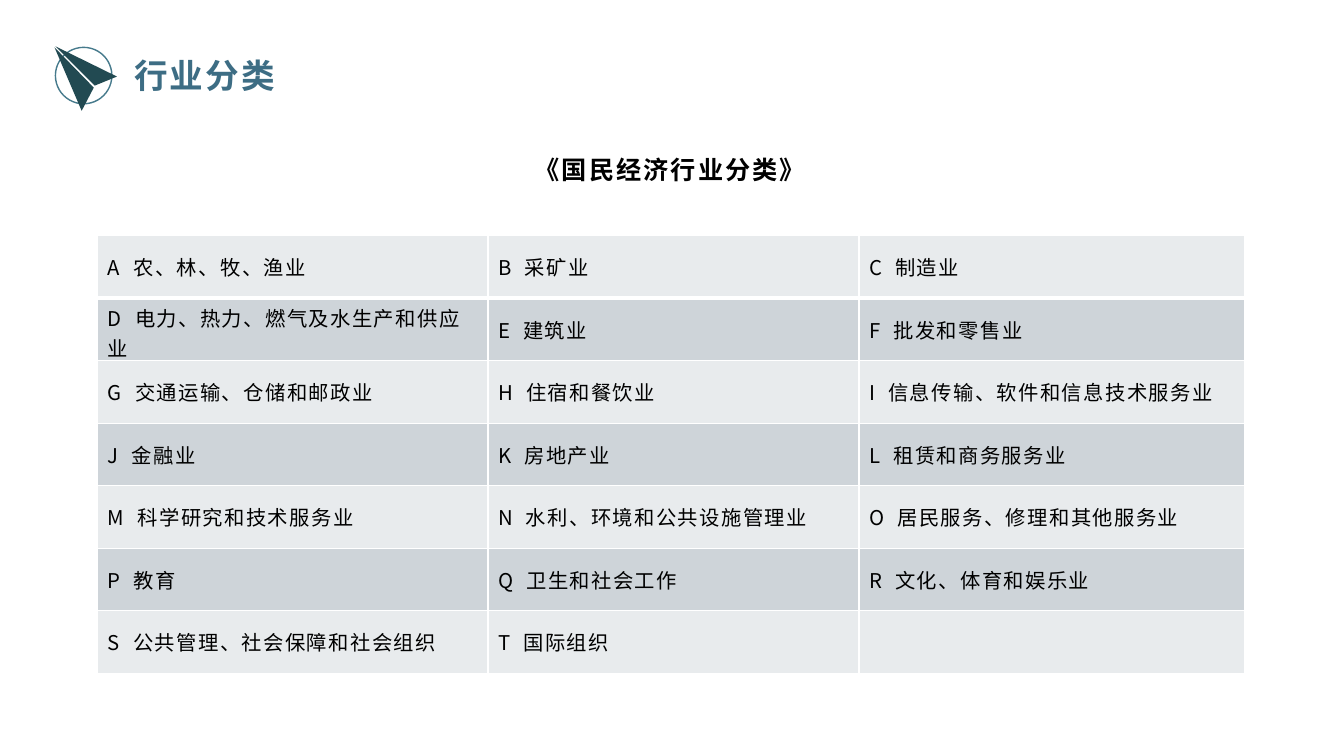
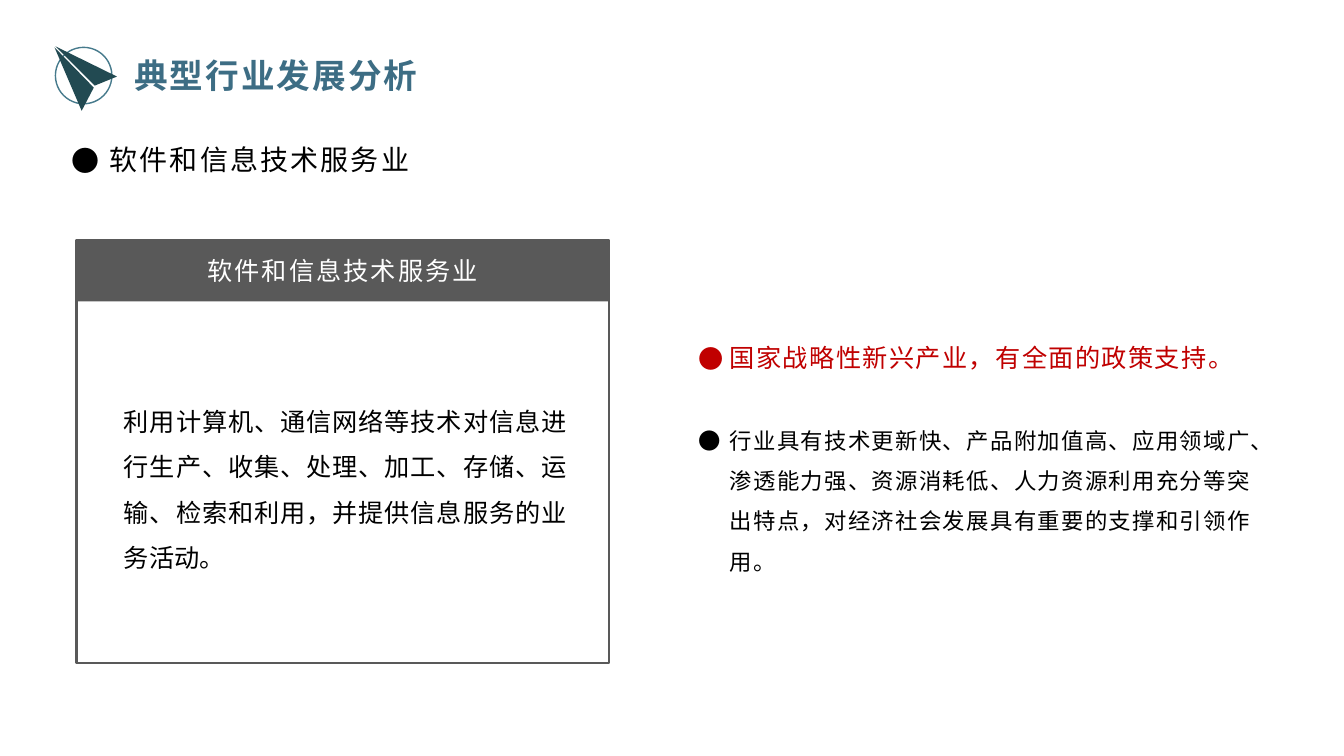
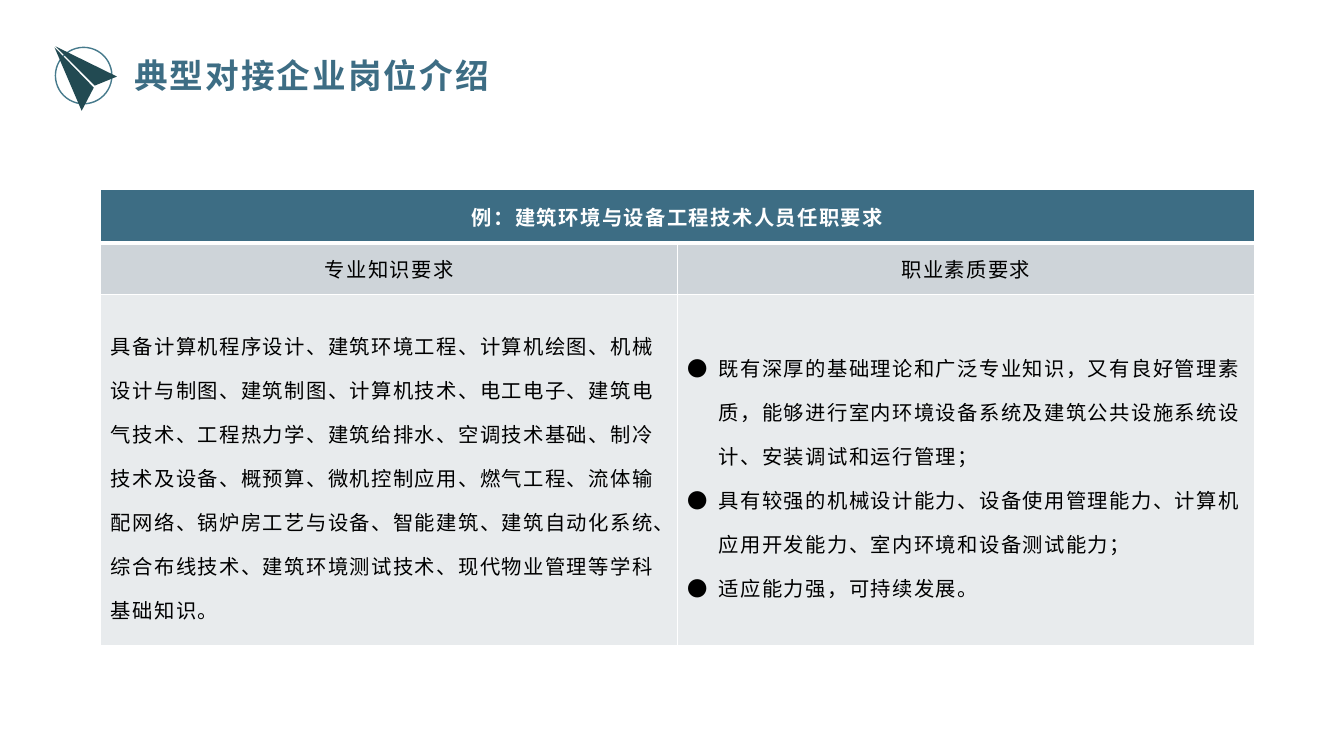
from lxml.etree import SubElement
from pptx import Presentation
from pptx.dml.color import RGBColor
from pptx.enum.shapes import MSO_SHAPE
from pptx.enum.text import MSO_ANCHOR, MSO_AUTO_SIZE, PP_ALIGN
from pptx.oxml.ns import qn
from pptx.util import Pt

PX = 9144  # EMU in one px, 100 px to the inch
FONT = "Noto Sans CJK SC"
BLUE, TEAL, DARK_TEAL = "3D6D84", "467A8C", "224A52"
BLACK, WHITE, GREY, RED = "000000", "FFFFFF", "595959", "C00000"
LIGHT, MID = "E8EBED", "CED4D9"

INDUSTRIES = [
    ["A 农、林、牧、渔业", "B 采矿业", "C 制造业"],
    ["D 电力、热力、燃气及水生产和供应业", "E 建筑业", "F 批发和零售业"],
    ["G 交通运输、仓储和邮政业", "H 住宿和餐饮业", "I 信息传输、软件和信息技术服务业"],
    ["J 金融业", "K 房地产业", "L 租赁和商务服务业"],
    ["M 科学研究和技术服务业", "N 水利、环境和公共设施管理业", "O 居民服务、修理和其他服务业"],
    ["P 教育", "Q 卫生和社会工作", "R 文化、体育和娱乐业"],
    ["S 公共管理、社会保障和社会组织", "T 国际组织", ""],
]
KNOWLEDGE = (
    "具备计算机程序设计、建筑环境工程、计算机绘图、机械设计与制图、建筑制图、计算机技术、"
    "电工电子、建筑电气技术、工程热力学、建筑给排水、空调技术基础、制冷技术及设备、概预算、"
    "微机控制应用、燃气工程、流体输配网络、锅炉房工艺与设备、智能建筑、建筑自动化系统、"
    "综合布线技术、建筑环境测试技术、现代物业管理等学科基础知识。")
QUALITIES = [
    "既有深厚的基础理论和广泛专业知识，又有良好管理素质，能够进行室内环境设备系统及建筑公共设施系统设计、安装调试和运行管理；",
    "具有较强的机械设计能力、设备使用管理能力、计算机应用开发能力、室内环境和设备测试能力；",
    "适应能力强，可持续发展。",
]


def px(n):
    return n * PX


def rgb(code):
    return RGBColor.from_string(code)


class Deck:
    def __init__(self):
        self.prs = Presentation()
        self.prs.slide_width, self.prs.slide_height = px(1333), px(750)
        self.s = None

    def slide(self, title):
        self.s = self.prs.slides.add_slide(self.prs.slide_layouts[5])
        sp = self.s.shapes.title
        sp.left, sp.top, sp.width, sp.height = map(px, (123, 49, 667, 50))
        tf = sp.text_frame
        tf.vertical_anchor = MSO_ANCHOR.MIDDLE
        tf.auto_size = MSO_AUTO_SIZE.NONE
        p = self.para(tf, PP_ALIGN.LEFT)
        self.run(p, title, 24, BLUE, spacing=1.5, bold=True)
        self.compass()

    def compass(self):
        self.shape(MSO_SHAPE.OVAL, 55, 47, 56, 56, line=TEAL, width=1)
        builder = self.s.shapes.build_freeform(116, 76, scale=PX)
        builder.add_line_segments([(94, 85), (55, 46)], close=True)
        builder.move_to(93, 87)
        builder.add_line_segments([(81, 110), (54, 47)], close=True)
        self.paint(builder.convert_to_shape(), fill=DARK_TEAL)

    def paint(self, sp, fill=None, line=None, width=1):
        sp.shadow.inherit = False
        if fill:
            sp.fill.solid()
            sp.fill.fore_color.rgb = rgb(fill)
        else:
            sp.fill.background()
        if line:
            sp.line.color.rgb = rgb(line)
            sp.line.width = Pt(width)
        else:
            sp.line.fill.background()
        return sp

    def shape(self, kind, x, y, w, h, **style):
        sp = self.s.shapes.add_shape(kind, px(x), px(y), px(w), px(h))
        return self.paint(sp, **style)

    def text_box(self, x, y, w, h):
        tf = self.s.shapes.add_textbox(px(x), px(y), px(w), px(h)).text_frame
        tf.word_wrap = True
        tf.auto_size = MSO_AUTO_SIZE.SHAPE_TO_FIT_TEXT
        return tf

    def para(self, tf, align=None, spacing=None, indent=0, before=None):
        """Return the next paragraph; a positive indent hangs a round bullet."""
        p = tf.paragraphs[0]
        if p.runs:
            p = tf.add_paragraph()
        p.alignment = align
        p.line_spacing = spacing
        if before:
            p.space_before = Pt(before)
        if indent:
            pPr = p._p.get_or_add_pPr()
            pPr.set("marL", str(px(indent)))
            pPr.set("indent", str(-px(indent)))
            SubElement(pPr, qn("a:buFont")).set("typeface", FONT)
            SubElement(pPr, qn("a:buChar")).set("char", "●")
        return p

    def run(self, p, text, size, color=BLACK, spacing=0, bold=False):
        r = p.add_run()
        r.text = text
        r.font.size, r.font.bold, r.font.name = Pt(size), bold, FONT
        r.font.color.rgb = rgb(color)
        rPr = r._r.get_or_add_rPr()
        rPr.set("spc", str(round(spacing * 100)))
        SubElement(rPr, qn("a:ea")).set("typeface", FONT)

    def table(self, x, y, cols, rows):
        frame = self.s.shapes.add_table(
            len(rows), len(cols), px(x), px(y), px(sum(cols)), px(sum(rows)))
        tbl = frame.table
        tbl.first_row = tbl.horz_banding = False
        for column, w in zip(tbl.columns, cols):
            column.width = px(w)
        for row, h in zip(tbl.rows, rows):
            row.height = px(h)
        return tbl

    def cell(self, tbl, row, col, fill):
        """Fill and border a cell, with a thick rule under the first row."""
        cell = tbl.cell(row, col)
        cell.vertical_anchor = MSO_ANCHOR.MIDDLE
        tcPr = cell._tc.get_or_add_tcPr()
        widths = {"L": 1, "R": 1, "T": 3 if row == 1 else 1, "B": 3 if row == 0 else 1}
        for side, width in widths.items():
            ln = SubElement(tcPr, qn(f"a:ln{side}"), w=str(Pt(width)))
            SubElement(SubElement(ln, qn("a:solidFill")), qn("a:srgbClr"), val=WHITE)
        cell.fill.solid()
        cell.fill.fore_color.rgb = rgb(fill)
        return cell.text_frame

    def cell_run(self, p, text, color=BLACK, spacing=1, bold=False):
        self.run(p, text, 14.5, color, spacing, bold)


def industry_slide(deck):
    deck.slide("行业分类")
    p = deck.para(deck.text_box(73, 118, 1183, 71), PP_ALIGN.CENTER, 2)
    deck.run(p, "《国民经济行业分类》", 18, spacing=1.5, bold=True)
    tbl = deck.table(97, 234, [387, 368, 382], [62] * 7)
    for i, names in enumerate(INDUSTRIES):
        for j, name in enumerate(names):
            tf = deck.cell(tbl, i, j, MID if i % 2 else LIGHT)
            if name:
                letter, industry = name.split(" ")
                p = deck.para(tf)
                deck.cell_run(p, letter)
                deck.cell_run(p, " ", spacing=5.2)
                deck.cell_run(p, industry)


def software_slide(deck):
    deck.slide("典型行业发展分析")
    p = deck.para(deck.text_box(61, 136, 363, 44), indent=38)
    deck.run(p, "软件和信息技术服务业", 20, spacing=1.5)

    p = deck.para(deck.text_box(113, 383, 459, 192), PP_ALIGN.JUSTIFY, 1.5)
    deck.run(p, "利用计算机、通信网络等技术对信息进行生产、收集、处理、加工、存储、运输、"
                "检索和利用，并提供信息服务的业务活动。", 18)
    header = deck.shape(MSO_SHAPE.RECTANGLE, 76, 238, 528, 61, fill=GREY)
    header.text_frame.vertical_anchor = MSO_ANCHOR.MIDDLE
    p = deck.para(header.text_frame, PP_ALIGN.CENTER)
    deck.run(p, "软件和信息技术服务业", 18, WHITE, 1.5)
    deck.shape(MSO_SHAPE.RECTANGLE, 76, 238, 528, 420, line=GREY, width=1.73)

    tf = deck.text_box(683, 320, 588, 257)
    p = deck.para(tf, spacing=1.5, indent=31)
    deck.run(p, "国家战略性新兴产业，有全面的政策支持。", 18, RED, 1)
    p = deck.para(tf, spacing=1.5, indent=31, before=29)
    deck.run(p, "行业具有技术更新快、产品附加值高、应用领域广、渗透能力强、资源消耗低、"
                "人力资源利用充分等突出特点，对经济社会发展具有重要的支撑和引领作用。", 16, spacing=1)


def job_slide(deck):
    deck.slide("典型对接企业岗位介绍")
    tbl = deck.table(100, 188, [572, 572], [53, 51, 349])
    fills = [BLUE, MID, LIGHT]
    cells = [[deck.cell(tbl, i, j, fill) for j in range(2)] for i, fill in enumerate(fills)]
    tbl.cell(0, 0).merge(tbl.cell(0, 1))
    p = deck.para(cells[0][0], PP_ALIGN.CENTER)
    deck.cell_run(p, "例：建筑环境与设备工程技术人员任职要求", WHITE, bold=True)
    for tf, heading in zip(cells[1], ["专业知识要求", "职业素质要求"]):
        deck.cell_run(deck.para(tf, PP_ALIGN.CENTER), heading)
    deck.cell_run(deck.para(cells[2][0], spacing=1.5), KNOWLEDGE)
    for quality in QUALITIES:
        deck.cell_run(deck.para(cells[2][1], spacing=1.5, indent=31), quality)


def main():
    deck = Deck()
    industry_slide(deck)
    software_slide(deck)
    job_slide(deck)
    deck.prs.save("out.pptx")


if __name__ == "__main__":
    main()
